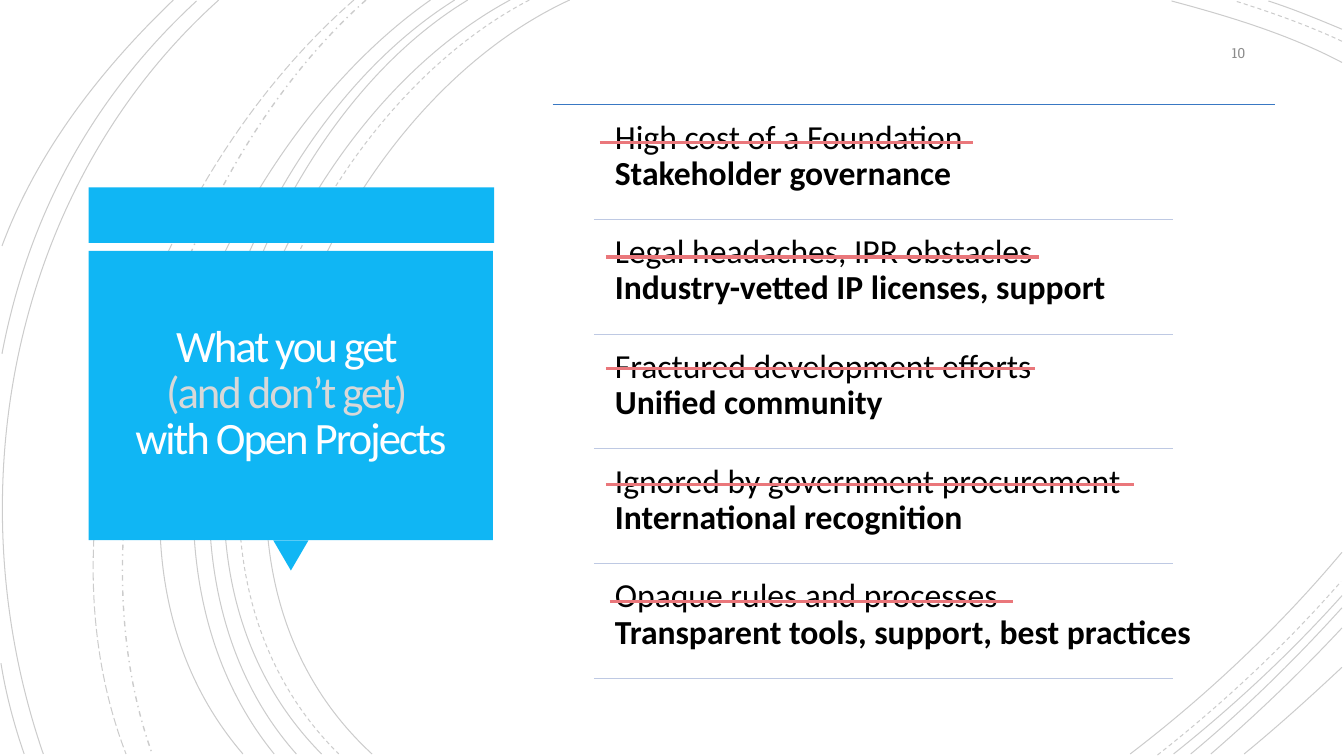
from lxml.etree import SubElement
from pptx import Presentation
from pptx.dml.color import RGBColor
from pptx.enum.dml import MSO_LINE_DASH_STYLE as DASH
from pptx.enum.shapes import MSO_CONNECTOR, MSO_SHAPE as SHAPE
from pptx.enum.text import MSO_ANCHOR as ANCHOR, PP_ALIGN as ALIGN
from pptx.oxml.ns import qn
from pptx.util import Inches, Pt

BLACK = RGBColor(0x00, 0x00, 0x00)
WHITE = RGBColor(0xFF, 0xFE, 0xFF)
PALE = RGBColor(0xD8, 0xD8, 0xD8)
GREY = RGBColor(0x8C, 0x8C, 0x8C)
SKY = RGBColor(0x10, 0xB6, 0xF4)
BLUE = RGBColor(0x39, 0x78, 0xC3)
MIST = RGBColor(0xBE, 0xC9, 0xE3)
CORAL = RGBColor(0xEA, 0x77, 0x7B)

LIST_TOP, LIST_BOTTOM = 1.04, 6.73
DIVIDER_LEFT, DIVIDER_RIGHT = 5.89, 11.63
TEXT_LEFT = 6

ITEMS = [
    ("High cost of a Foundation", "Stakeholder governance", 5.63, (5.95, 9.65, 1.41)),
    ("Legal headaches, IPR obstacles", "Industry-vetted IP licenses, support", 5.63, (6.01, 10.3, 2.55)),
    ("Fractured development efforts", "Unified community", 5.63, (6.01, 10.27, 3.66)),
    ("Ignored by government procurement", "International recognition", 5.63, (6.01, 11.25, 4.81)),
    ("Opaque rules and processes", "Transparent tools, support, best practices", 6.21, (6.05, 10.05, 5.97)),
]

ARCS = {
    (DASH.SOLID, 0.75): [
        [(5.65, 0), (3.15, 1.15), (1.43, 5.4), (3.69, 7.48)],
        [(13.31, 0.62), (12.78, 0.34), (12.18, 0.16), (11.62, 0.01)],
        [(11.21, 7.48), (11.97, 6.9), (12.69, 6.22), (13.31, 5.48)],
        [(5.06, 0), (2.7, 1.27), (1.1, 5.37), (3.19, 7.48)],
        [(13.31, 0.29), (13.07, 0.19), (12.83, 0.09), (12.58, 0.01)],
        [(11.64, 7.48), (12.23, 7.01), (12.8, 6.48), (13.31, 5.91)],
        [(4.64, 0), (2.44, 1.33), (1.1, 5.41), (2.94, 7.48)],
        [(11.81, 7.48), (12.34, 7.04), (12.84, 6.55), (13.31, 6.03)],
        [(4.51, 0), (2.31, 1.38), (0.97, 5.33), (2.72, 7.48)],
        [(12.01, 7.48), (12.46, 7.09), (12.9, 6.67), (13.31, 6.23)],
        [(4.27, 0), (2.17, 1.47), (0.53, 5.29), (2.41, 7.48)],
        [(12.34, 7.48), (12.67, 7.21), (12.99, 6.92), (13.31, 6.62)],
        [(2.17, 0), (0.11, 1.85), (-0.46, 4.9), (0.43, 7.48)],
        [(1.95, 0.01), (0.92, 0.96), (0.28, 2.14), (0.02, 3.51)],
        [(0.01, 6.58), (0.06, 6.89), (0.14, 7.19), (0.24, 7.48)],
        [(1.72, 0), (1, 0.69), (0.37, 1.5), (0.02, 2.44)],
    ],
    (DASH.DASH, 0.75): [
        [(5.25, 0), (2.85, 1.25), (1.23, 5.37), (3.36, 7.48)],
        [(13.31, 0.41), (12.97, 0.25), (12.6, 0.12), (12.25, 0.01)],
        [(11.48, 7.49), (12.13, 6.98), (12.75, 6.4), (13.3, 5.77)],
    ],
    (DASH.DASH_DOT, 1): [[(3.63, 0), (1.76, 1.66), (0.65, 5.09), (1.51, 7.48)]],
    (DASH.LONG_DASH, 0.75): [[(3.51, 0), (1.57, 1.69), (0.29, 4.99), (1.25, 7.48)]],
}


def add_arc(s, points, dash, width):
    start, *rest = [(Inches(x), Inches(y)) for x, y in points]
    builder = s.shapes.build_freeform(*start)
    builder.add_line_segments(rest, close=False)
    sp = builder.convert_to_shape()
    sp.shadow.inherit = False
    sp.fill.background()
    sp.line.color.rgb = BLACK
    sp.line.width = Pt(width)
    sp.line.dash_style = dash
    color = sp.line._ln.find(".//" + qn("a:srgbClr"))
    SubElement(color, qn("a:alpha")).set("val", "20000")
    outline = sp._element.find(".//" + qn("a:path"))
    curve = SubElement(outline, qn("a:cubicBezTo"))
    for segment in outline.findall(qn("a:lnTo")):
        curve.append(segment[0])
        outline.remove(segment)


def add_block(s, kind, left, top, width, height, rotation=0):
    sp = s.shapes.add_shape(kind, Inches(left), Inches(top), Inches(width), Inches(height))
    sp.shadow.inherit = False
    sp.fill.solid()
    sp.fill.fore_color.rgb = SKY
    sp.line.fill.background()
    sp.rotation = rotation


def add_rule(s, left, right, y, color, width=0.75):
    line = s.shapes.add_connector(
        MSO_CONNECTOR.STRAIGHT, Inches(left), Inches(y), Inches(right), Inches(y))
    line.line.color.rgb = color
    line.line.width = Pt(width)
    SubElement(line._element.spPr, qn("a:effectLst"))


def add_text(s, box, lines, size, font="Calibri", align=ALIGN.LEFT, anchor=ANCHOR.TOP,
             inset=(0.1, 0.1), spacing=None, tracking=None):
    tf = s.shapes.add_textbox(*map(Inches, box)).text_frame
    tf.word_wrap = True
    tf.vertical_anchor = anchor
    tf.margin_left = tf.margin_right = Inches(inset[0])
    tf.margin_top = tf.margin_bottom = Inches(inset[1])
    p = tf.paragraphs[0]
    p.alignment = align
    p.line_spacing = spacing
    p.font.name = font
    p.font.size = Pt(size)
    for i, (text, color, bold) in enumerate(lines):
        if i:
            p.add_line_break()
        r = p.add_run()
        r.text = text
        r.font.color.rgb = color
        r.font.bold = bold
        if tracking:
            r.font._element.set("spc", str(tracking))


def add_title(s):
    add_block(s, SHAPE.RECTANGLE, 0.88, 1.86, 4.02, 0.55)
    add_block(s, SHAPE.ISOSCELES_TRIANGLE, 2.71, 5.36, 0.35, 0.3, 180)
    add_block(s, SHAPE.RECTANGLE, 0.88, 2.49, 4.01, 2.87)
    lines = [("What you get ", WHITE, False),
             ("(and don’t get) ", PALE, False),
             ("with Open Projects", WHITE, False)]
    add_text(s, (0.97, 2.57, 3.83, 2.69), lines, 32, align=ALIGN.CENTER,
             anchor=ANCHOR.MIDDLE, inset=(0.25, 0.25), spacing=0.85, tracking=-150)


def add_benefits(s):
    row = (LIST_BOTTOM - LIST_TOP) / len(ITEMS)
    add_rule(s, 5.48, 12.65, LIST_TOP, BLUE)
    for i, (problem, benefit, width, strike) in enumerate(ITEMS):
        top = LIST_TOP + i * row
        add_text(s, (TEXT_LEFT, top + 0.05, width, 1.08),
                 [(problem, BLACK, False), (benefit, BLACK, True)], 24, spacing=0.9)
        add_rule(s, DIVIDER_LEFT, DIVIDER_RIGHT, top + row, MIST)
        add_rule(s, *strike, CORAL, 2.25)


def main():
    prs = Presentation()
    prs.slide_width, prs.slide_height = Inches(13.33), Inches(7.5)
    s = prs.slides.add_slide(prs.slide_layouts[6])
    for (dash, width), arcs in ARCS.items():
        for points in arcs:
            add_arc(s, points, dash, width)
    add_title(s)
    add_text(s, (11.45, 0.35, 1, 0.35), [("10", GREY, False)], 10, "Roboto Slab",
             ALIGN.RIGHT, ANCHOR.MIDDLE, (0.1, 0.05))
    add_benefits(s)
    prs.save("out.pptx")


if __name__ == "__main__":
    main()
